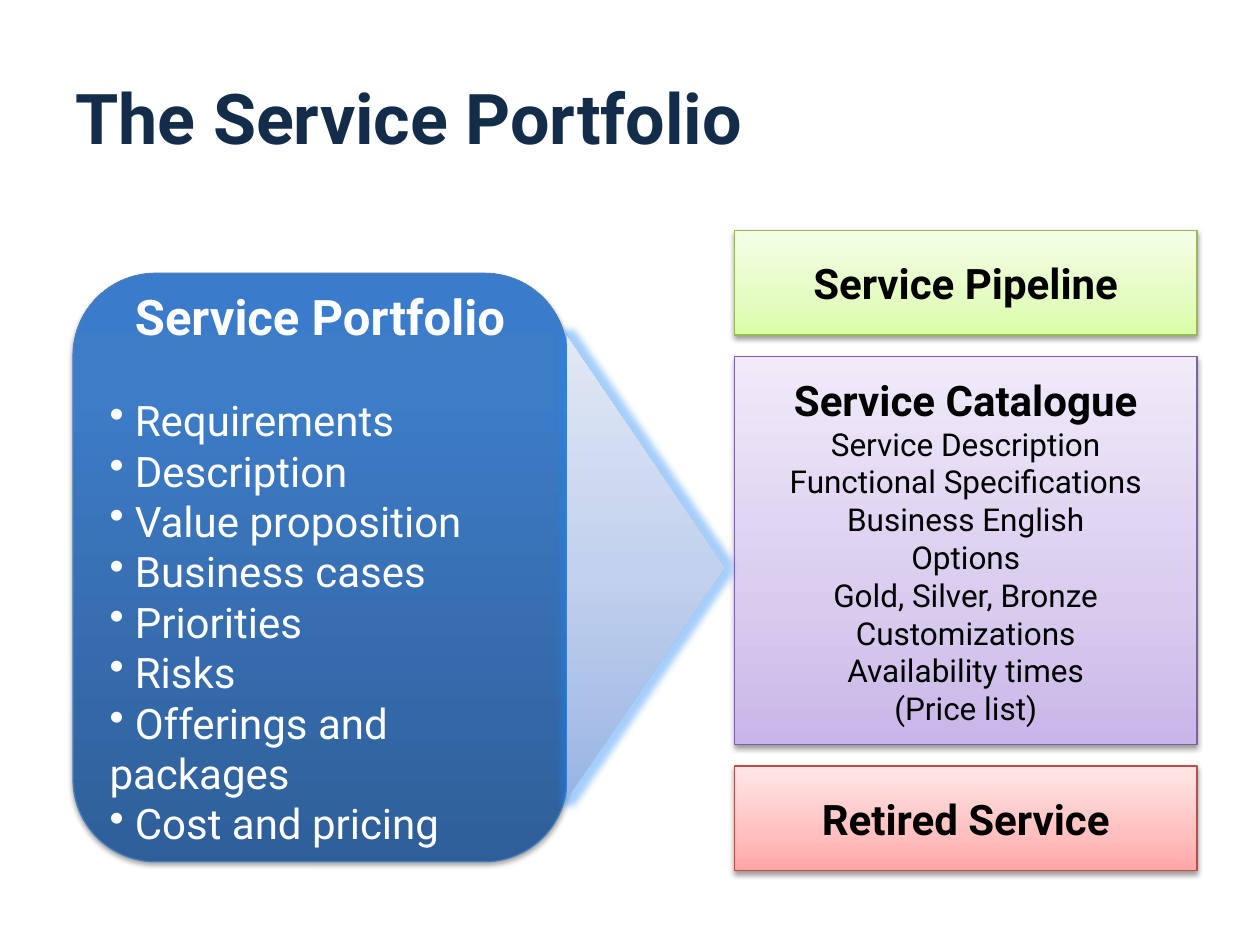
from lxml.etree import SubElement
from pptx import Presentation
from pptx.dml.color import RGBColor
from pptx.enum.shapes import MSO_SHAPE
from pptx.enum.text import MSO_ANCHOR, PP_ALIGN
from pptx.oxml.ns import qn
from pptx.util import Inches, Pt

NAVY = RGBColor(0x13, 0x2C, 0x4A)
WHITE = RGBColor(0xFF, 0xFF, 0xFF)
BLACK = RGBColor(0x00, 0x00, 0x00)
BLUE_EDGE = RGBColor(0x4B, 0x7E, 0xBC)
GREEN_EDGE = RGBColor(0x98, 0xB9, 0x55)
PURPLE_EDGE = RGBColor(0x7D, 0x60, 0xA0)
RED_EDGE = RGBColor(0xBF, 0x4C, 0x48)
GLOW = RGBColor(0x20, 0x85, 0xF5)

BLUE_FADE = [(0, "2F5F99"), (80, "3D7CC7"), (100, "3A7CCB")]
GREEN_FADE = [(0, "DAFDA7"), (35, "E4FCC2"), (100, "F5FFE7")]
PURPLE_FADE = [(0, "C9B5E8"), (35, "D8CBEE"), (100, "F0EAF9")]
RED_FADE = [(0, "FFA6A5"), (35, "FFC0BF"), (100, "FFE7E7")]
ARROW_FADE = [(0, "9AB5E4"), (50, "C2D1ED"), (100, "E1E8F5")]

FONT = "Roboto"
TITLE = "The Service Portfolio"
PORTFOLIO = "Service Portfolio"
PORTFOLIO_ITEMS = ["Requirements", "Description", "Value proposition", "Business cases",
                   "Priorities", "Risks", "Offerings and packages", "Cost and pricing"]
CATALOGUE_ITEMS = ["Service Description", "Functional Specifications", "Business English",
                   "Options", "Gold, Silver, Bronze", "Customizations",
                   "Availability times", "(Price list)"]
STAGES = [
    ("Service Pipeline", [], 0.83, GREEN_FADE, GREEN_EDGE),
    ("Service Catalogue", CATALOGUE_ITEMS, 3.08, PURPLE_FADE, PURPLE_EDGE),
    ("Retired Service", [], 0.83, RED_FADE, RED_EDGE),
]
STAGE_LEFT, STAGE_TOP, STAGE_WIDTH, STAGE_GAP = 5.83, 1.83, 3.67, 0.17


def add_color(parent, color, alpha=None):
    node = SubElement(parent, qn("a:srgbClr"), val=str(color))
    if alpha is not None:
        SubElement(node, qn("a:alpha"), val=str(alpha * 1000))


def add_fade(shape, stops, angle):
    shape.fill.gradient()
    fade = shape.fill._xPr.find(qn("a:gradFill"))
    stop_list = fade.find(qn("a:gsLst"))
    for old in list(stop_list):
        stop_list.remove(old)
    for position, color in stops:
        add_color(SubElement(stop_list, qn("a:gs"), pos=str(position * 1000)), color)
    fade.find(qn("a:lin")).set("ang", str(angle * 60000))


def add_effect(shape, tag, color, alpha, **settings):
    shape.shadow.inherit = False
    effects = shape._element.spPr.find(qn("a:effectLst"))
    values = {key: str(value) for key, value in settings.items()}
    add_color(SubElement(effects, qn(tag), values), color, alpha)


def add_panel(slide, kind, box, fade, edge, shadow_alpha, shadow_distance):
    panel = slide.shapes.add_shape(kind, *map(Inches, box))
    add_fade(panel, fade, 270)
    panel.line.color.rgb = edge
    panel.line.width = Pt(0.75)
    add_effect(panel, "a:outerShdw", BLACK, shadow_alpha, blurRad=Pt(3.1),
               dist=Pt(shadow_distance), dir=90 * 60000, rotWithShape=0)
    panel.text_frame.word_wrap = True
    panel.text_frame.vertical_anchor = MSO_ANCHOR.MIDDLE
    return panel


def write(paragraph, text, size, color, bold=False, align=PP_ALIGN.CENTER):
    paragraph.alignment = align
    run = paragraph.add_run()
    run.text = text
    run.font.name = FONT
    run.font.size = Pt(size)
    run.font.bold = bold
    run.font.color.rgb = color


def main():
    deck = Presentation()
    deck.slide_width, deck.slide_height = Inches(10), Inches(7.5)
    slide = deck.slides.add_slide(deck.slide_layouts[5])

    title = slide.shapes.title
    title.left, title.top, title.width, title.height = map(Inches, (0.5, 0.3, 9, 1.25))
    title.text_frame.vertical_anchor = MSO_ANCHOR.MIDDLE
    write(title.text_frame.paragraphs[0], TITLE, 40, NAVY, True, PP_ALIGN.LEFT)

    portfolio = add_panel(slide, MSO_SHAPE.ROUNDED_RECTANGLE, (0.58, 2.17, 3.92, 4.67),
                          BLUE_FADE, BLUE_EDGE, 35, 1.8)
    write(portfolio.text_frame.paragraphs[0], PORTFOLIO, 28, WHITE, True)
    for index, item in enumerate(PORTFOLIO_ITEMS):
        paragraph = portfolio.text_frame.add_paragraph()
        if index == 0:
            paragraph.space_before = Pt(28)
        SubElement(paragraph._p.get_or_add_pPr(), qn("a:buChar"), char="•")
        write(paragraph, " " + item, 24, WHITE, align=PP_ALIGN.LEFT)

    top = STAGE_TOP
    for name, items, height, fade, edge in STAGES:
        stage = add_panel(slide, MSO_SHAPE.RECTANGLE, (STAGE_LEFT, top, STAGE_WIDTH, height),
                          fade, edge, 38, 1.6)
        write(stage.text_frame.paragraphs[0], name, 24, BLACK, True)
        for item in items:
            write(stage.text_frame.add_paragraph(), item, 18, BLACK)
        top += height + STAGE_GAP

    arrow = slide.shapes.add_shape(MSO_SHAPE.ISOSCELES_TRIANGLE,
                                   *map(Inches, (3.29, 3.88, 3.67, 1.25)))
    arrow.rotation = 90
    add_fade(arrow, ARROW_FADE, 180)
    arrow.line.fill.background()
    add_effect(arrow, "a:glow", GLOW, 40, rad=Pt(8))

    deck.save("out.pptx")


if __name__ == "__main__":
    main()
